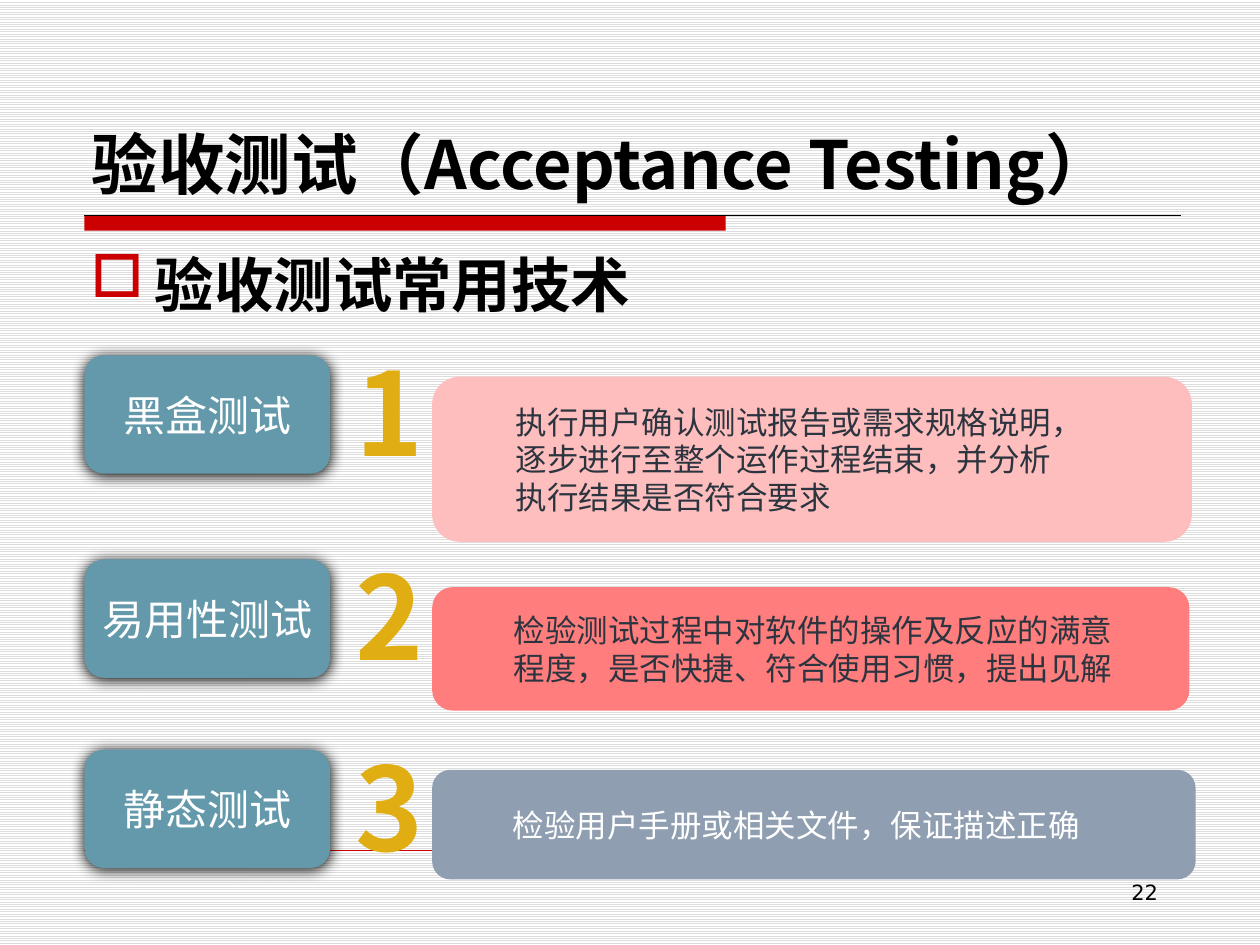
from lxml import etree
from pptx import Presentation
from pptx.dml.color import RGBColor
from pptx.enum.dml import MSO_PATTERN as Pattern
from pptx.enum.shapes import MSO_CONNECTOR as Connector, MSO_SHAPE as Shape
from pptx.enum.text import MSO_ANCHOR as Anchor, MSO_AUTO_SIZE as AutoSize, PP_ALIGN as Align
from pptx.oxml import parse_xml
from pptx.oxml.ns import nsdecls, qn
from pptx.util import Inches, Pt

BLACK = RGBColor(0x00, 0x00, 0x00)
WHITE = RGBColor(0xFF, 0xFF, 0xFF)
STRIPE = RGBColor(0xDD, 0xDD, 0xDD)
RED = RGBColor(0xCC, 0x00, 0x00)
TEAL = RGBColor(0x63, 0x99, 0xAB)
GOLD = RGBColor(0xE0, 0xAD, 0x12)
SLATE = RGBColor(0x2C, 0x35, 0x3F)
PINK = RGBColor(0xFF, 0xBE, 0xBE)
CORAL = RGBColor(0xFF, 0x7D, 0x7D)
GREY_BLUE = RGBColor(0x8F, 0x9F, 0xB1)
SANS, CJK_SC, CJK_JP = "DejaVu Sans", "Noto Sans CJK SC", "Noto Sans CJK JP"

prs = Presentation()
prs.slide_width, prs.slide_height = Inches(10), Inches(7.5)
slide = prs.slides.add_slide(prs.slide_layouts[6])


def write(holder, lines, font, size, color, bold=False, align=Align.LEFT, **frame_format):
    """Fill the text frame of a box or shape, one paragraph per line."""
    frame = holder.text_frame
    for name, value in {"word_wrap": True, **frame_format}.items():
        setattr(frame, name, value)
    frame.text = "\n".join(lines)
    for paragraph in frame.paragraphs:
        paragraph.alignment = align
        run = paragraph.runs[0]
        for name, value in {"name": font, "size": Pt(size), "bold": bold}.items():
            setattr(run.font, name, value)
        run.font.color.rgb = color
        etree.SubElement(run.font._element, qn("a:ea"), typeface=font)
    return frame


def add_block(kind, left, top, width, height, color):
    """Add a plain filled shape."""
    block = slide.shapes.add_shape(kind, Inches(left), Inches(top), Inches(width), Inches(height))
    block.shadow.inherit = False
    block.fill.solid()
    block.fill.fore_color.rgb = color
    block.line.fill.background()
    return block


# Striped background
backdrop = slide.background.fill
backdrop.patterned()
backdrop.pattern = Pattern.LIGHT_HORIZONTAL
backdrop.fore_color.rgb = STRIPE
backdrop.back_color.rgb = WHITE

# Title bar and thin rules
add_block(Shape.RECTANGLE, 0.67, 1.71, 5.09, 0.12, RED)
for y, right, color, weight in [(1.71, 9.37, BLACK, 0.75), (6.75, 9.33, RED, 0.25)]:
    rule = slide.shapes.add_connector(
        Connector.STRAIGHT, Inches(0.67), Inches(y), Inches(right), Inches(y))
    rule.line.color.rgb = color
    rule.line.width = Pt(weight)
    etree.SubElement(rule._element.spPr, qn("a:effectLst"))

# Title
title = slide.shapes.add_textbox(Inches(0.63), Inches(0.33), Inches(8.75), Inches(1.33))
write(title, ["验收测试（Acceptance Testing）"], CJK_SC, 38, BLACK, bold=True,
      vertical_anchor=Anchor.BOTTOM)

# Bulleted heading
heading = slide.shapes.add_textbox(Inches(0.62), Inches(1.92), Inches(8.75), Inches(0.8))
heading_frame = write(heading, ["验收测试常用技术"], SANS, 34, BLACK, bold=True)
heading_props = heading_frame.paragraphs[0]._p.get_or_add_pPr()
heading_props.set("marL", str(Inches(0.51)))
heading_props.set("indent", str(Inches(-0.51)))
bullet_color = etree.SubElement(heading_props, qn("a:buClr"))
etree.SubElement(bullet_color, qn("a:srgbClr"), val=str(RED))
etree.SubElement(heading_props, qn("a:buChar"), char="□")

# Page number
page_number = slide.shapes.add_textbox(Inches(7.12), Inches(6.93), Inches(2.17), Inches(0.52))
write(page_number, ["22"], SANS, 12, BLACK, align=Align.RIGHT)

# Techniques: label, label top, number width, then panel top, width, height, fill, text colour, lines
techniques = [
    ("黑盒测试", 2.82, 0.59, 2.99, 6.03, 1.31, PINK, SLATE,
     ["执行用户确认测试报告或需求规格说明，", "逐步进行至整个运作过程结束，并分析", "执行结果是否符合要求"]),
    ("易用性测试", 4.44, 0.65, 4.66, 6.01, 0.98, CORAL, SLATE,
     ["检验测试过程中对软件的操作及反应的满意", "程度，是否快捷、符合使用习惯，提出见解"]),
    ("静态测试", 5.95, 0.8, 6.11, 6.06, 0.87, GREY_BLUE, WHITE,
     ["检验用户手册或相关文件，保证描述正确"]),
]
margins = dict.fromkeys(["margin_left", "margin_top", "margin_right", "margin_bottom"], Inches(0.05))

for number, (name, top, number_width, panel_top, panel_width, panel_height,
             panel_fill, panel_color, lines) in enumerate(techniques, start=1):
    # Shadowed label
    label = add_block(Shape.ROUNDED_RECTANGLE, 0.67, top, 1.95, 0.94, TEAL)
    label_props = label._element.spPr
    label_props.remove(label_props.find(qn("a:effectLst")))
    label_props.append(parse_xml(
        f'<a:effectLst {nsdecls("a")}><a:outerShdw blurRad="{Pt(8.5)}" dist="{Pt(1)}" '
        'dir="5400000" rotWithShape="0"><a:srgbClr val="000000"/></a:outerShdw></a:effectLst>'))
    write(label, [name], CJK_SC, 24, WHITE, align=Align.CENTER,
          vertical_anchor=Anchor.MIDDLE, **margins)

    # Large number
    numeral = slide.shapes.add_textbox(
        Inches(2.72), Inches(top - 0.16), Inches(number_width), Inches(1.11))
    write(numeral, [str(number)], CJK_JP, 66, GOLD, bold=True,
          auto_size=AutoSize.SHAPE_TO_FIT_TEXT)

    # Description panel
    panel = add_block(Shape.ROUNDED_RECTANGLE, 3.43, panel_top, panel_width, panel_height, panel_fill)
    panel_frame = write(panel, lines, CJK_SC, 18, panel_color,
                        vertical_anchor=Anchor.MIDDLE, word_wrap=False)
    for paragraph in panel_frame.paragraphs:
        paragraph.level = 1
        paragraph._p.get_or_add_pPr().set("marL", str(Inches(0.5)))

prs.save("out.pptx")
